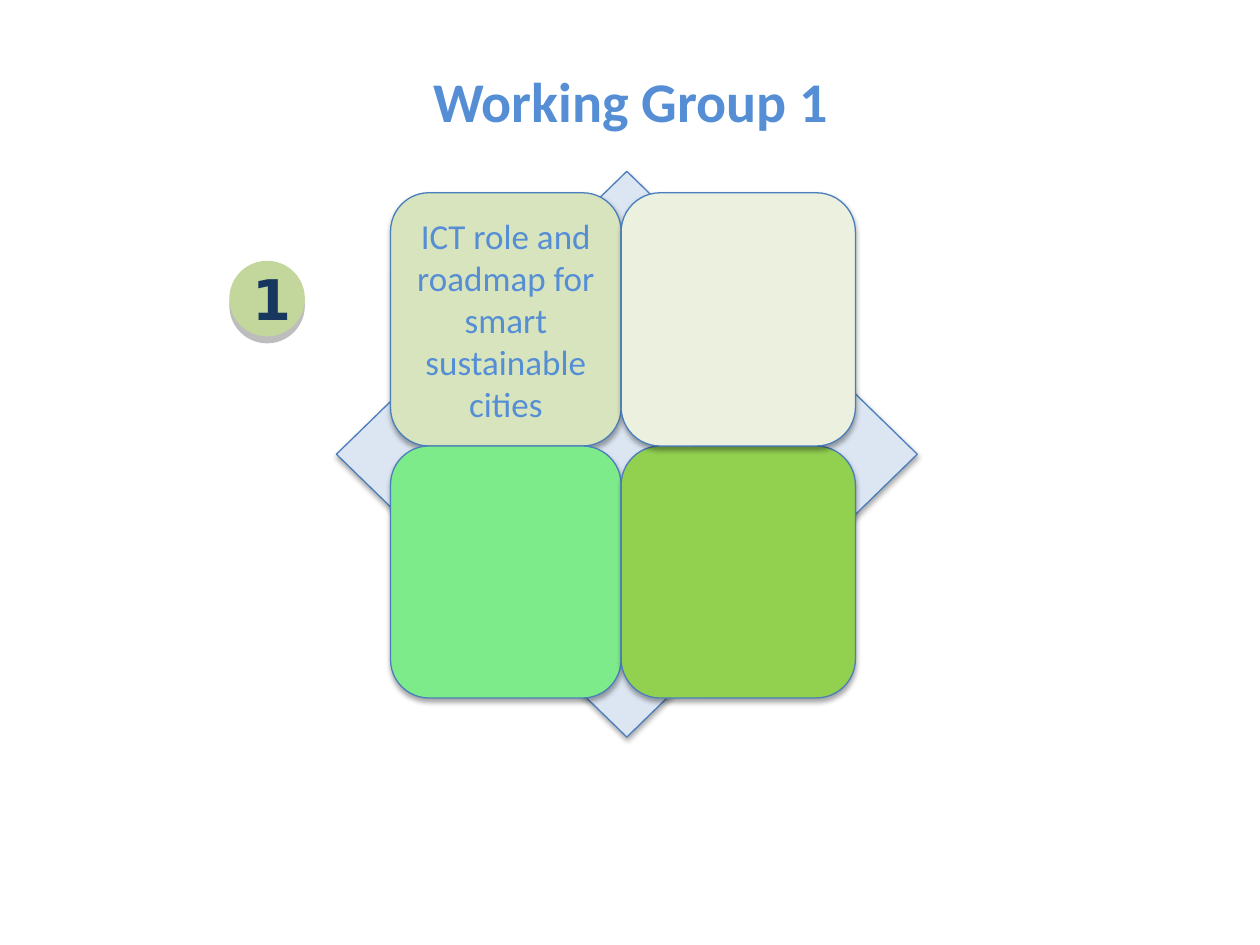
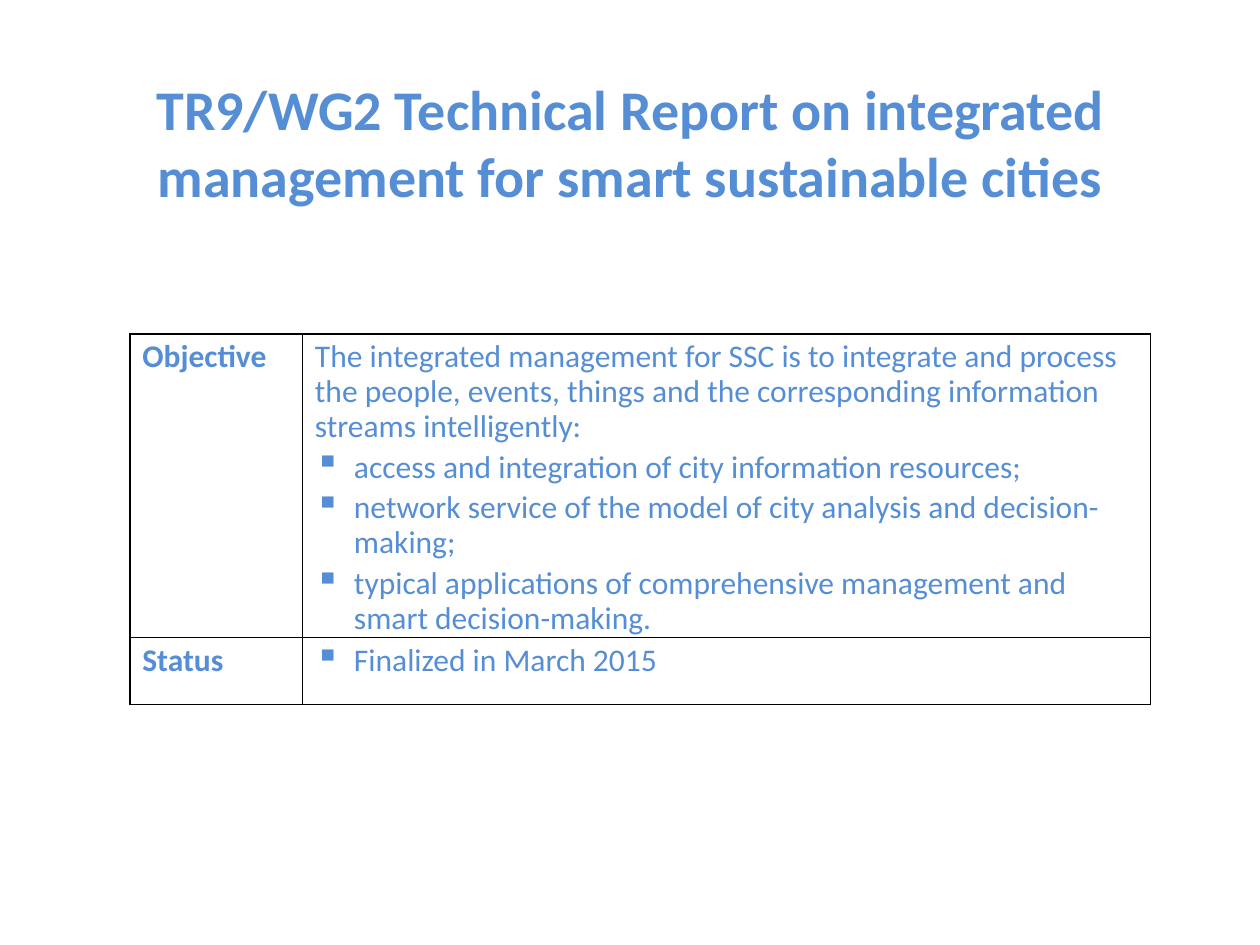
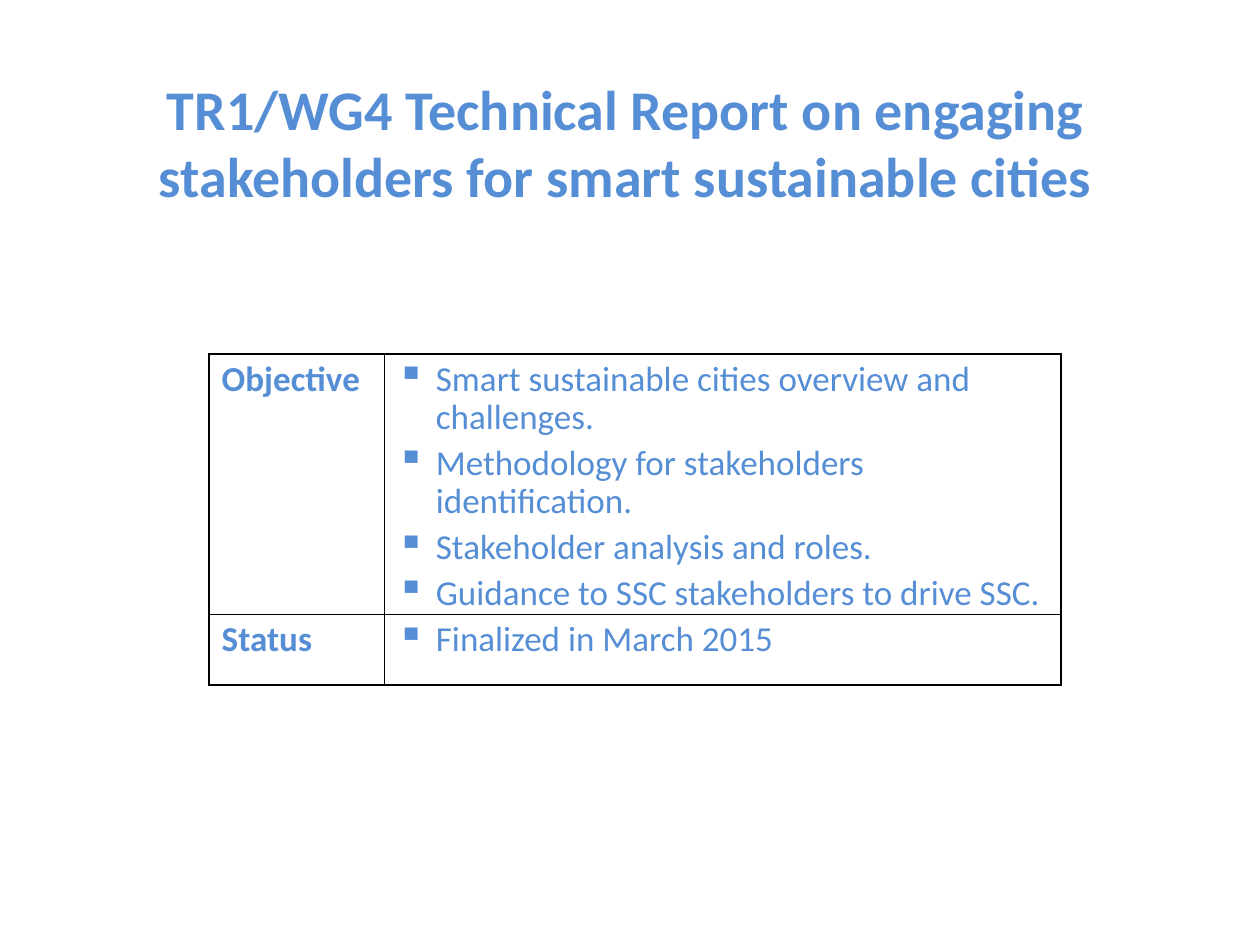
"""Build three slides on the working groups for smart sustainable cities."""
import dataclasses

import lxml.etree
import pptx
import pptx.dml.color
import pptx.enum.shapes
import pptx.enum.text
import pptx.oxml.ns
import pptx.util

Inches, Pt = pptx.util.Inches, pptx.util.Pt
RGB = pptx.dml.color.RGBColor.from_string
SHAPE = pptx.enum.shapes.MSO_SHAPE
CENTER = pptx.enum.text.PP_ALIGN.CENTER
MIDDLE = pptx.enum.text.MSO_ANCHOR.MIDDLE
qn = pptx.oxml.ns.qn


@dataclasses.dataclass(frozen=True)
class Theme:
    font: str = "Calibri"
    badge_font: str = "DejaVu Sans"
    text: str = "558ED5"
    badge_text: str = "17375E"
    badge: str = "C3D69B"
    diamond: str = "DCE6F2"
    outline: str = "4B7EBC"
    black: str = "000000"
    title_size: int = 32
    card_size: int = 20
    card_shadow: tuple = (35, 3.1, 1.8)
    badge_shadow: tuple = (26, 0, 4)


T = Theme()

GROUP = {
    "title": "Working Group 1",
    "title_box": (0.36, 0.48, 9.29, 0.64),
    "badge": "1",
    "cards": [
        (0, 0, "D7E4BD", "ICT role and roadmap for smart sustainable cities"),
        (0, 1, "7DEB8A", ""),
        (1, 1, "92D050", ""),
        (1, 0, "EBF1DE", ""),
    ],
}
CARD_ORIGIN = (3.1, 1.53)
CARD_WIDTHS = (1.83, 1.86)
CARD_HEIGHTS = (2.01, 2.0)

STATUS = ("Status", "", ["Finalized in March 2015"])
REPORTS = [
    {
        "title": "TR9/WG2 Technical Report on integrated management for smart sustainable cities",
        "title_box": (0.36, 0.54, 9.29, 1.18),
        "origin": (1.03, 2.65),
        "cols": (1.37, 6.73),
        "heights": (2.29, 0.53),
        "size": 18,
        "rows": [
            ("Objective",
             "The integrated management for SSC is to integrate and process the people, "
             "events, things and the corresponding information streams intelligently:",
             ["access and integration of city information resources;",
              "network service of the model of city analysis and decision-making;",
              "typical applications of comprehensive management and smart decision-making."]),
            STATUS,
        ],
    },
    {
        "title": "TR1/WG4 Technical Report on engaging stakeholders for smart sustainable cities",
        "title_box": (0.32, 0.54, 9.29, 1.18),
        "origin": (1.66, 2.81),
        "cols": (1.39, 5.37),
        "heights": (1.94, 0.56),
        "size": 20,
        "rows": [
            ("Objective", "",
             ["Smart sustainable cities overview and challenges.",
              "Methodology for stakeholders identification.",
              "Stakeholder analysis and roles.",
              "Guidance to SSC stakeholders to drive SSC."]),
            STATUS,
        ],
    },
]


def sub(parent, tag, **attrs):
    el = lxml.etree.SubElement(parent, qn(tag))
    for key, value in attrs.items():
        el.set(key, str(value))
    return el


def add_run(p, text, size, bold=False, color=T.text, font=T.font):
    r = p.add_run()
    r.text = text
    r.font.size, r.font.bold, r.font.name = Pt(size), bold, font
    r.font.color.rgb = RGB(color)


def add_title(s, text, box):
    tf = s.shapes.add_textbox(*map(Inches, box)).text_frame
    tf.word_wrap = True
    tf.auto_size = pptx.enum.text.MSO_AUTO_SIZE.SHAPE_TO_FIT_TEXT
    p = tf.paragraphs[0]
    p.alignment = CENTER
    add_run(p, text, T.title_size, bold=True)


def add_shape(s, kind, box, fill, shadow, outline=None):
    sp = s.shapes.add_shape(kind, *map(Inches, box))
    sp.fill.solid()
    sp.fill.fore_color.rgb = RGB(fill)
    if outline:
        sp.line.color.rgb = RGB(outline)
        sp.line.width = Pt(0.75)
    else:
        sp.line.fill.background()
    sp.shadow.inherit = False
    alpha, blur, dist = shadow
    effects = sp._element.spPr.find(qn("a:effectLst"))
    outer = sub(effects, "a:outerShdw", blurRad=int(Pt(blur)), dist=int(Pt(dist)),
                dir=90 * 60000, rotWithShape=0)
    sub(sub(outer, "a:srgbClr", val=T.black), "a:alpha", val=alpha * 1000)
    return sp


def label(sp, text, *style):
    tf = sp.text_frame
    tf.word_wrap = True
    tf.vertical_anchor = MIDDLE
    p = tf.paragraphs[0]
    p.alignment = CENTER
    add_run(p, text, *style)


def add_group_slide(s, group):
    add_title(s, group["title"], group["title_box"])
    badge = add_shape(s, SHAPE.OVAL, (1.82, 2.07, 0.6, 0.6), T.badge, T.badge_shadow)
    label(badge, group["badge"], T.title_size, True, T.badge_text, T.badge_font)
    add_shape(s, SHAPE.DIAMOND, (2.67, 1.36, 4.61, 4.49), T.diamond, T.card_shadow, T.outline)
    for col, row, fill, text in group["cards"]:
        box = (CARD_ORIGIN[0] + sum(CARD_WIDTHS[:col]), CARD_ORIGIN[1] + sum(CARD_HEIGHTS[:row]),
               CARD_WIDTHS[col], CARD_HEIGHTS[row])
        sp = add_shape(s, SHAPE.ROUNDED_RECTANGLE, box, fill, T.card_shadow, T.outline)
        if text:
            label(sp, text, T.card_size)


def add_bullet(p):
    pPr = p._p.get_or_add_pPr()
    pPr.set("marL", str(Inches(0.31)))
    pPr.set("indent", str(-Inches(0.31)))
    sub(sub(pPr, "a:buClr"), "a:srgbClr", val=T.text)
    sub(pPr, "a:buSzPct", val=110000)
    sub(pPr, "a:buChar", char="▪")


def add_borders(cell):
    tcPr = cell._tc.get_or_add_tcPr()
    for i, side in enumerate("LRTB"):
        ln = sub(tcPr, f"a:ln{side}", w=int(Pt(1)))
        sub(sub(ln, "a:solidFill"), "a:srgbClr", val=T.black)
        tcPr.insert(i, ln)


def fill_cell(cell, items, size):
    cell.fill.background()
    add_borders(cell)
    tf = cell.text_frame
    for i, (text, bold, bullet) in enumerate(items):
        p = tf.add_paragraph() if i else tf.paragraphs[0]
        p.line_spacing = 0.9
        p.space_before = Pt(size * 0.2)
        if bullet:
            add_bullet(p)
        add_run(p, text, size, bold)


def add_report_slide(s, report):
    cols, heights, size = report["cols"], report["heights"], report["size"]
    box = (*report["origin"], sum(cols), sum(heights))
    table = s.shapes.add_table(len(heights), len(cols), *map(Inches, box)).table
    table.first_row = table.horz_banding = False
    for column, width in zip(table.columns, cols):
        column.width = Inches(width)
    for row, height, (name, intro, points) in zip(table.rows, heights, report["rows"]):
        row.height = Inches(height)
        lead = [(intro, False, False)] if intro else []
        fill_cell(row.cells[0], [(name, True, False)], size)
        fill_cell(row.cells[1], lead + [(point, False, True) for point in points], size)
    add_title(s, report["title"], report["title_box"])


def main():
    prs = pptx.Presentation()
    prs.slide_width, prs.slide_height = Inches(10), Inches(7.5)
    blank = prs.slide_layouts[6]
    add_group_slide(prs.slides.add_slide(blank), GROUP)
    for report in REPORTS:
        add_report_slide(prs.slides.add_slide(blank), report)
    prs.save("out.pptx")


if __name__ == "__main__":
    main()
